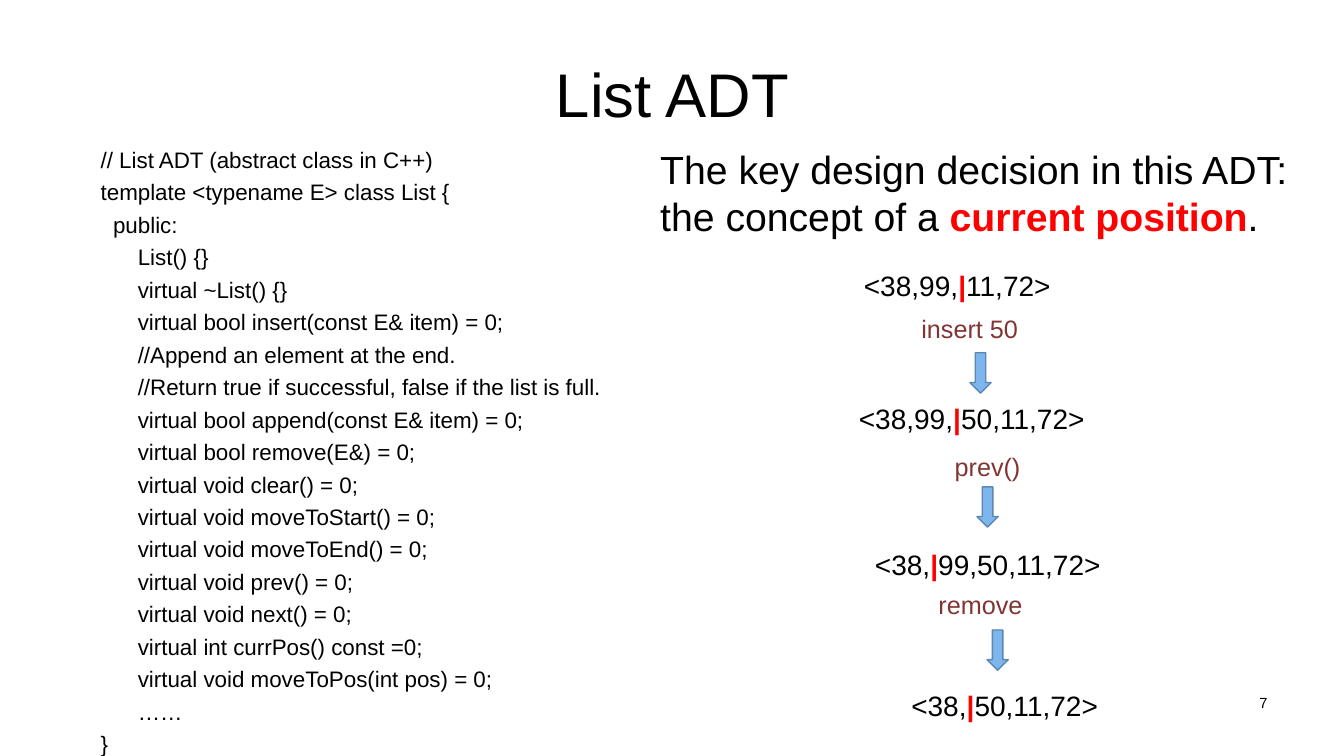
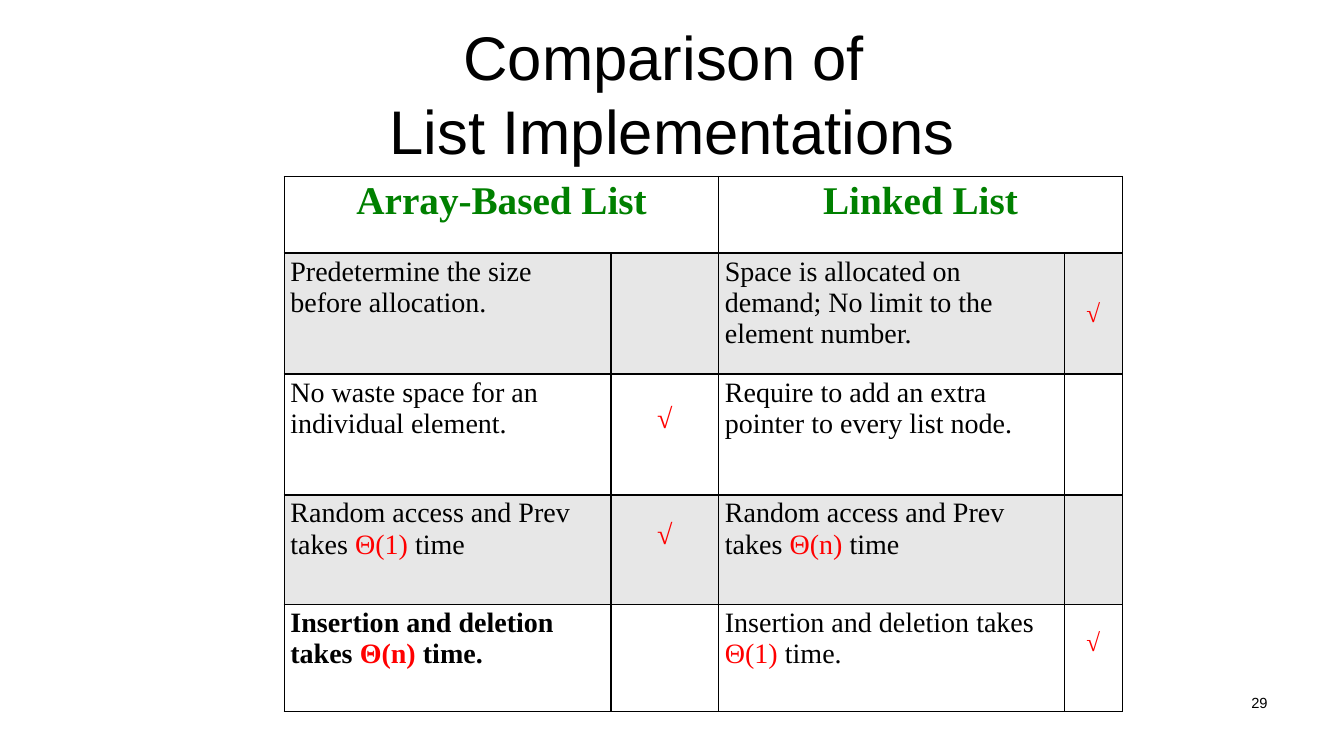
from lxml import etree
from pptx import Presentation
from pptx.dml.color import RGBColor
from pptx.enum.shapes import MSO_SHAPE
from pptx.enum.text import MSO_ANCHOR, MSO_AUTO_SIZE, PP_ALIGN
from pptx.oxml.ns import qn
from pptx.util import Inches, Pt

BLACK = RGBColor(0x00, 0x00, 0x00)
RED = RGBColor(0xFF, 0x00, 0x00)
GREEN = RGBColor(0x00, 0x80, 0x00)
BROWN = RGBColor(0x81, 0x35, 0x33)
WHITE = RGBColor(0xFF, 0xFF, 0xFF)
GREY = RGBColor(0xE7, 0xE7, 0xE7)
ARROW_FILL = RGBColor(0x7D, 0xB6, 0xEF)
ARROW_LINE = RGBColor(0x5C, 0x87, 0xB1)
SANS, SERIF = "Arial", "Times New Roman"
LEFT, CENTER, RIGHT = PP_ALIGN.LEFT, PP_ALIGN.CENTER, PP_ALIGN.RIGHT
TOP, MIDDLE = MSO_ANCHOR.TOP, MSO_ANCHOR.MIDDLE
NO_FIT = MSO_AUTO_SIZE.NONE
DOWN_ARROW = MSO_SHAPE.DOWN_ARROW
TITLE_ONLY = 5

CODE = """// List ADT (abstract class in C++)
template <typename E> class List {
  public:
      List() {}
      virtual ~List() {}
      virtual bool insert(const E& item) = 0;
      //Append an element at the end.
      //Return true if successful, false if the list is full.
      virtual bool append(const E& item) = 0;
      virtual bool remove(E&) = 0;
      virtual void clear() = 0;
      virtual void moveToStart() = 0;
      virtual void moveToEnd() = 0;
      virtual void prev() = 0;
      virtual void next() = 0;
      virtual int currPos() const =0;
      virtual void moveToPos(int pos) = 0;
      ……
}"""

KEY_IDEA = ("The key design decision in this ADT: the concept of a ", "current position", ".")

STATES = [
    (0.05, 0, ("<38,99,", "|", "11,72>")),
    (0, 1.32, ("<38,99,", "|", "50,11,72>")),
    (0.16, 2.77, ("<38,", "|", "99,50,11,72>")),
    (0.52, 4.17, ("<38,", "|", "50,11,72>")),
]
OPERATIONS = [
    ("insert 50", (0.62, 0.45), (1.2, 0.89)),
    ("prev()", (0.95, 1.82), (1.27, 2.22)),
    ("remove", (0.79, 3.19), (1.37, 3.64)),
]

COLUMNS = [3.24, 1.07, 3.43, 0.57]
ROWS = [0.76, 1.2, 1.2, 1.09, 1.06]
HEADINGS = ["Array-Based List", "Linked List"]
COMPARISON = [
    [("Predetermine the size before allocation.",), False,
     ("Space is allocated on demand; No limit to the element number.",), True],
    [("No waste space for an individual element.",), True,
     ("Require to add an extra pointer to every list node.",), False],
    [("Random access and Prev takes ", "Θ(1) ", "time"), True,
     ("Random access and Prev takes ", "Θ(n) ", "time"), False],
    [("Insertion and deletion takes ", "Θ(n) ", "time."), False,
     ("Insertion and deletion takes ", "Θ(1) ", "time."), True],
]


def write(frame, *lines, size, font=SANS, color=BLACK, bold=False,
          strong=False, align=LEFT, anchor=TOP, gap=0):
    """Fill a frame; every second span of a line is a red highlight."""
    frame.vertical_anchor = anchor
    for number, spans in enumerate(lines):
        para = frame.paragraphs[0] if number == 0 else frame.add_paragraph()
        para.alignment = align
        para.space_before = Pt(gap if number else 0)
        for index, text in enumerate(spans):
            marked = index % 2 == 1
            span = para.add_run()
            span.text = text
            span.font.name, span.font.size = font, Pt(size)
            span.font.bold = bold or (marked and strong)
            span.font.color.rgb = RED if marked else color


def add_text(page, left, top, width, height, *lines, wrap=True, **style):
    """Place a text box and write its lines."""
    box = page.shapes.add_textbox(Inches(left), Inches(top), Inches(width), Inches(height))
    box.text_frame.word_wrap = wrap
    write(box.text_frame, *lines, **style)


def add_page(deck, title_lines, number):
    """Add a slide with its centred title and page number."""
    page = deck.slides.add_slide(deck.slide_layouts[TITLE_ONLY])
    title = page.shapes.title
    title.left, title.top = Inches(0.67), Inches(0.3)
    title.width, title.height = Inches(12), Inches(1.25)
    frame = title.text_frame
    frame.auto_size = NO_FIT
    write(frame, *[(line,) for line in title_lines], size=44, align=CENTER, anchor=MIDDLE)
    add_text(page, 9.56, 6.83, 3.11, 0.52, (str(number),), size=10.5, align=RIGHT)
    return page


def add_down_arrow(page, left, top):
    """Draw a small block arrow pointing down."""
    arrow = page.shapes.add_shape(DOWN_ARROW, Inches(left), Inches(top), Inches(0.21), Inches(0.4))
    arrow.shadow.inherit = False
    arrow.fill.solid()
    arrow.fill.fore_color.rgb = ARROW_FILL
    arrow.line.color.rgb = ARROW_LINE
    arrow.line.width = Pt(1)


def add_state_chain(page, left, top):
    """Show list states linked by operations, relative to a corner."""
    for x, y, spans in STATES:
        add_text(page, left + x, top + y, 2.96, 0.44, spans, size=20, strong=True)
    for name, (label_x, label_y), (arrow_x, arrow_y) in OPERATIONS:
        add_text(page, left + label_x, top + label_y, 1.16, 0.4, (name,),
                 size=18, color=BROWN, wrap=False)
        add_down_arrow(page, left + arrow_x, top + arrow_y)


def format_cell(cell, fill, lift=0):
    """Set the fill, margins and black borders of a cell."""
    cell.margin_left = cell.margin_right = Inches(0.06)
    cell.margin_top, cell.margin_bottom = Inches(0.03), Inches(0.03 + lift)
    properties = cell._tc.get_or_add_tcPr()
    for side in ("a:lnL", "a:lnR", "a:lnT", "a:lnB"):
        line = etree.SubElement(properties, qn(side), w=str(Pt(1)))
        solid = etree.SubElement(line, qn("a:solidFill"))
        etree.SubElement(solid, qn("a:srgbClr"), val=str(BLACK))
    cell.fill.solid()
    cell.fill.fore_color.rgb = fill


def add_comparison(page, left, top):
    """Build the comparison table from a corner."""
    table = page.shapes.add_table(len(ROWS), len(COLUMNS), Inches(left), Inches(top),
                                  Inches(sum(COLUMNS)), Inches(sum(ROWS))).table
    table.first_row = table.horz_banding = False
    for column, width in zip(table.columns, COLUMNS):
        column.width = Inches(width)
    for row, height in zip(table.rows, ROWS):
        row.height = Inches(height)
    for index, heading in enumerate(HEADINGS):
        first, second = table.cell(0, 2 * index), table.cell(0, 2 * index + 1)
        first.merge(second)
        format_cell(first, WHITE)
        format_cell(second, WHITE)
        write(first.text_frame, (heading,), size=28, font=SERIF, color=GREEN,
              bold=True, align=CENTER)
    for row, contents in enumerate(COMPARISON, start=1):
        for column, content in enumerate(contents):
            cell = table.cell(row, column)
            is_mark = column % 2 == 1
            format_cell(cell, GREY if row % 2 else WHITE,
                        lift=0.3 if is_mark and row > 1 else 0)
            if not is_mark:
                write(cell.text_frame, content, size=20, font=SERIF,
                      bold=(row, column) == (4, 0))
            elif content:
                write(cell.text_frame, ("√",), size=20 if column == 1 else 18,
                      font=SERIF, color=RED, bold=True, align=CENTER)
                cell.vertical_anchor = MIDDLE


def build_list_adt(deck):
    """Build the slide with the class and its current position."""
    page = add_page(deck, ["List ADT"], 7)
    add_text(page, 0.9, 1.4, 5.55, 6.1, *[(line,) for line in CODE.split("\n")],
             size=16, gap=4)
    add_text(page, 6.45, 1.39, 6.56, 1.04, KEY_IDEA, size=28, strong=True)
    add_state_chain(page, 8.42, 2.61)


def build_comparison(deck):
    """Build the slide comparing both implementations."""
    page = add_page(deck, ["Comparison of ", "List Implementations"], 29)
    add_comparison(page, 2.82, 1.75)


def main():
    """Create and save the deck."""
    deck = Presentation()
    deck.slide_width, deck.slide_height = Inches(13.33), Inches(7.5)
    build_list_adt(deck)
    build_comparison(deck)
    deck.save("out.pptx")


if __name__ == "__main__":
    main()
